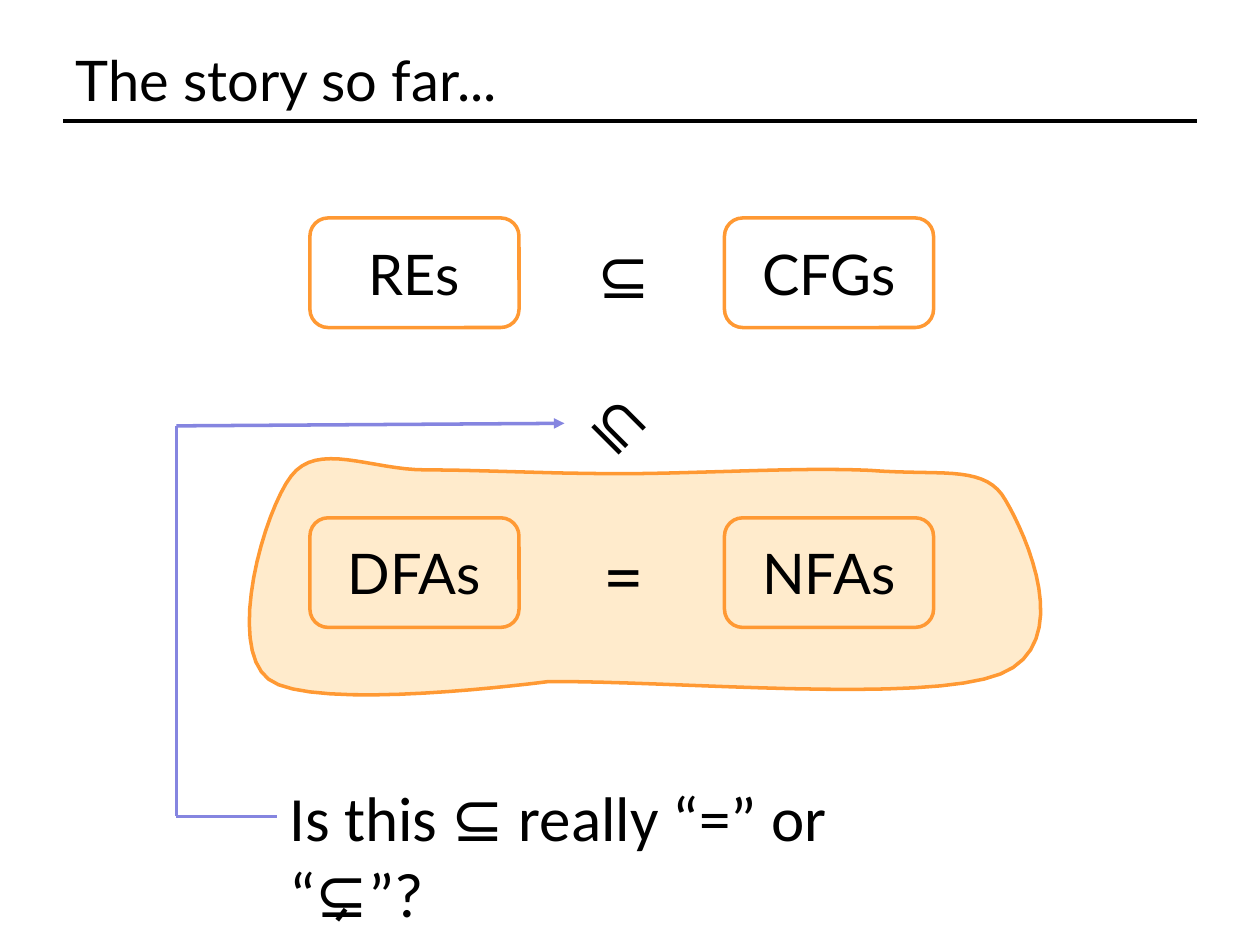
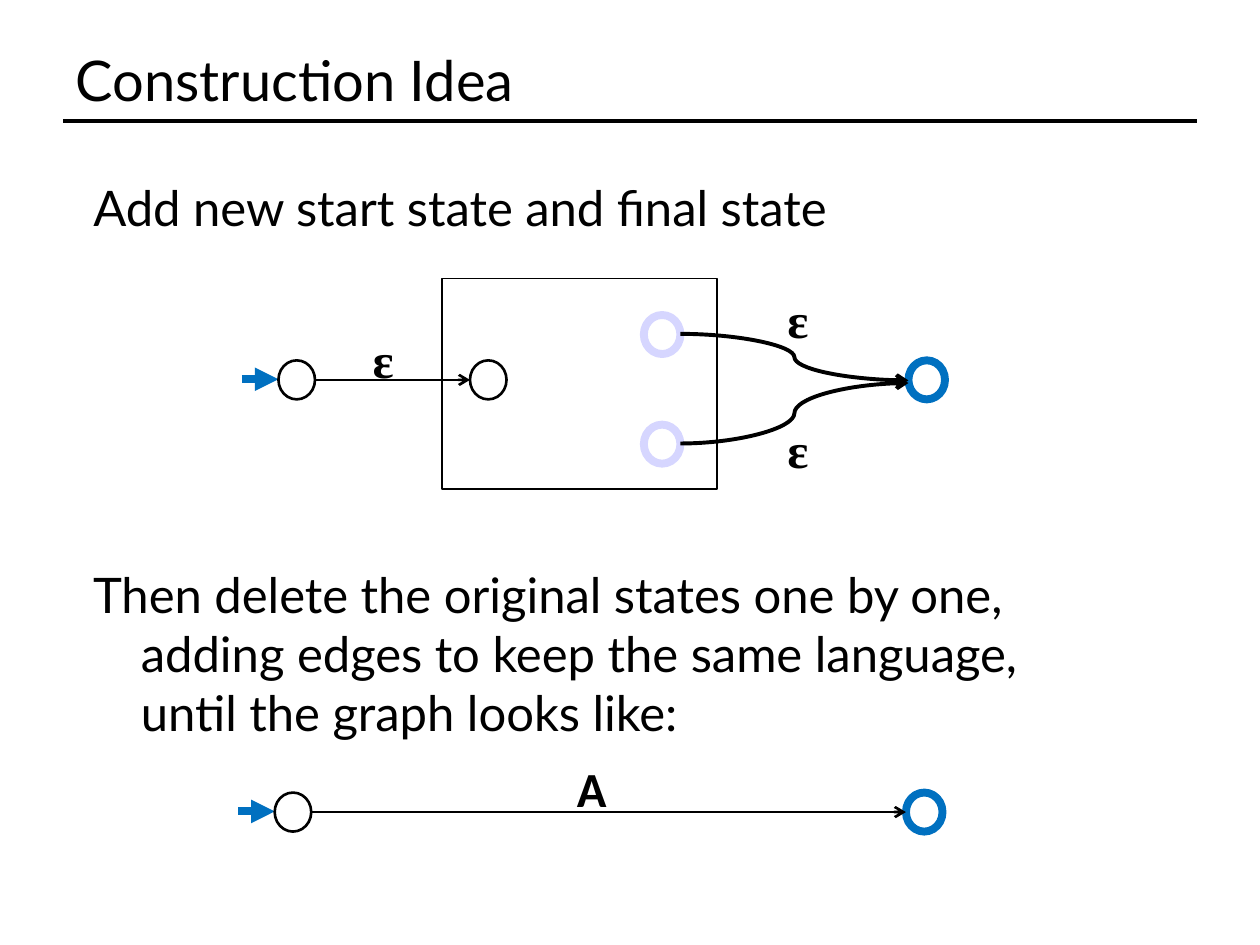
from dataclasses import dataclass

from lxml.etree import SubElement
from pptx import Presentation
from pptx.dml.color import RGBColor as Rgb
from pptx.enum.shapes import MSO_CONNECTOR as Link, MSO_SHAPE as Kind
from pptx.enum.text import MSO_ANCHOR as Anchor, MSO_AUTO_SIZE as Fit, PP_ALIGN as Align
from pptx.oxml.ns import qn
from pptx.util import Inches, Pt


@dataclass(frozen=True)
class Theme:
    ink: str = "000000"
    orange: str = "FF9933"
    cream: str = "FFEBCC"
    violet: str = "8585E0"
    pale: str = "D6D6FF"
    blue: str = "0070C0"
    main: str = "Lato"
    math: str = "Calibri"
    greek: str = "Times New Roman"
    title: int = 32
    body: int = 28
    sign: int = 36
    equal: int = 40


T = Theme()
STATE = (0.29, 0.31)
# Outline of the cloud, as offsets from its corner: a start, then cubic curves
START = (1.4, 0.09)
CURVES = [
    ((0.96, 0.09), (0.54, -0.14), (0.33, 0.14)),
    ((0.12, 0.41), (-0.19, 1.48), (0.15, 1.75)),
    ((0.49, 2.02), (2.37, 1.77), (2.37, 1.77)),
    ((3.34, 1.76), (5.35, 1.95), (5.96, 1.71)),
    ((6.56, 1.47), (6.16, 0.6), (6, 0.33)),
    ((5.85, 0.06), (5.53, 0.13), (5.02, 0.1)),
    ((4.51, 0.06), (3.58, 0.12), (2.96, 0.12)),
    ((2.35, 0.12), (1.83, 0.09), (1.4, 0.09)),
]


def inches(*sizes):
    return [Inches(size) for size in sizes]


def style(para, size, font=T.main, bold=False):
    for run in para.runs:
        run.font.size, run.font.name, run.font.bold = Pt(size), font, bold
        run.font.color.rgb = Rgb.from_string(T.ink)


def hang(para):
    """Hanging indent without a bullet."""
    props = para._p.get_or_add_pPr()
    props.set("marL", str(Inches(0.38)))
    props.set("indent", str(Inches(-0.38)))
    SubElement(props, qn("a:buNone"))
    para.alignment = Align.LEFT
    para.space_before = Pt(0)


def label(slide, text, box, size, font=T.main, bold=False, turn=0):
    shape = slide.shapes.add_textbox(*inches(*box))
    shape.rotation = turn
    frame = shape.text_frame
    frame.word_wrap = True
    frame.text = text
    style(frame.paragraphs[0], size, font, bold)
    return frame.paragraphs[0]


def stroke(item, color, width):
    item.line.color.rgb = Rgb.from_string(color)
    item.line.width = Pt(width)


def outline(slide, kind, box, color, width):
    shape = slide.shapes.add_shape(kind, *inches(*box))
    shape.shadow.inherit = False
    shape.fill.background()
    stroke(shape, color, width)
    return shape


def link(slide, start, end, color, width, head=None, kind=Link.STRAIGHT):
    line = slide.shapes.add_connector(kind, *inches(*start, *end))
    stroke(line, color, width)
    if head:
        SubElement(line.line._get_or_add_ln(), qn("a:tailEnd"), type=head)
    SubElement(line._element.spPr, qn("a:effectLst"))


def page(deck, layout, title):
    """Add a slide with the shared title and the rule below it."""
    slide = deck.slides.add_slide(deck.slide_layouts[layout])
    link(slide, (0.5, 0.96), (9.5, 0.96), T.ink, 2)
    head = slide.shapes.title
    head.left, head.top, head.width, head.height = inches(0.5, 0.3, 9, 0.66)
    frame = head.text_frame
    frame.text = title
    frame.auto_size = Fit.NONE
    frame.vertical_anchor = Anchor.MIDDLE
    frame.paragraphs[0].alignment = Align.LEFT
    style(frame.paragraphs[0], T.title)
    return slide


def cloud(slide, x, y, steps=16):
    points, last = [], START
    for one, two, end in CURVES:
        for step in range(1, steps + 1):
            t = step / steps
            u = 1 - t
            points.append(tuple(
                Inches(base + u**3 * a + 3 * u * u * t * b + 3 * u * t * t * c + t**3 * d)
                for base, a, b, c, d in zip((x, y), last, one, two, end)))
        last = end
    pen = slide.shapes.build_freeform(*inches(x + START[0], y + START[1]))
    pen.add_line_segments(points, close=True)
    shape = pen.convert_to_shape()
    shape.shadow.inherit = False
    shape.fill.solid()
    shape.fill.fore_color.rgb = Rgb.from_string(T.cream)
    stroke(shape, T.orange, 2)


def classes(slide, x, y):
    """Grid of the four language classes and the signs between them."""
    for row, names in enumerate((("REs", "CFGs"), ("DFAs", "NFAs"))):
        for col, name in enumerate(names):
            box = (x + 3.29 * col, y + 2.38 * row, 1.66, 0.87)
            shape = outline(slide, Kind.ROUNDED_RECTANGLE, box, T.orange, 2)
            frame = shape.text_frame
            frame.text = name
            frame.vertical_anchor = Anchor.MIDDLE
            frame.paragraphs[0].alignment = Align.CENTER
            style(frame.paragraphs[0], T.title)
    for down, turn in ((0.09, 0), (1.27, 45)):
        label(slide, "⊆", (x + 2.18, y + down, 0.58, 0.71), T.sign, T.math, turn=turn)
    label(slide, "=", (x + 2.23, y + 2.45, 0.53, 0.77), T.equal)


def question(slide, x, y):
    """Question with a bent arrow that leads up to the sign."""
    label(slide, "Is this ⊆ really “=” or “⊊”?", (x + 0.8, y + 2.75, 5.61, 0.71),
          T.sign, T.math)
    low = y + 3.1
    link(slide, (x, y), (x + 3.08, y - 0.02), T.violet, 2, "triangle")
    link(slide, (x, y), (x, low), T.violet, 2)
    link(slide, (x, low), (x + 0.8, low), T.violet, 2)


def state(slide, x, y, color=T.ink, width=1.5):
    outline(slide, Kind.OVAL, (x, y, *STATE), color, width)


def ends(slide, x, y, span):
    """Marked start state and, one span to the right, the final state."""
    link(slide, (x - 0.29, y + 0.15), (x, y + 0.15), T.blue, 4.5, "triangle")
    state(slide, x, y)
    state(slide, x + span, y, T.blue, 4.5)


def edge(slide, x, y, span):
    mid = y + STATE[1] / 2
    link(slide, (x + STATE[0], mid), (x + span, mid), T.ink, 1.5, "arrow")


def machine(slide, x, y):
    """Automaton wrapped by a new start state and a new final state."""
    outline(slide, Kind.RECTANGLE, (x + 1.3, y - 0.65, 2.18, 1.67), T.ink, 1)
    ends(slide, x, y, 5)
    state(slide, x + 1.52, y)
    edge(slide, x, y, 1.52)
    for down, goal in ((-0.36, 0.16), (0.51, 0.18)):
        state(slide, x + 2.9, y + down, T.pale, 4.5)
        link(slide, (x + 3.19, y + down + 0.15), (x + 5, y + goal), T.ink, 2.25,
             "arrow", Link.CURVE)
    for right, down in ((0.65, -0.29), (3.94, -0.61), (3.94, 0.42)):
        label(slide, "ɛ", (x + right, y + down, 0.38, 0.57), T.body, T.greek, True)


def result(slide, x, y):
    """Two states that are left, joined by a single edge."""
    ends(slide, x, y, 5.01)
    edge(slide, x, y, 5.01)
    label(slide, "A", (x + 2.3, y - 0.32, 0.44, 0.57), T.body, T.math, True)


def story(deck):
    slide = page(deck, 5, "The story so far...")
    cloud(slide, 1.98, 3.64)
    classes(slide, 2.46, 1.73)
    question(slide, 1.4, 3.38)


def idea(deck):
    slide = page(deck, 1, "Construction Idea")
    body = slide.placeholders[1]
    body.left, body.top, body.width, body.height = inches(0.64, 1.36, 9, 5.62)
    frame = body.text_frame
    frame.text = "Add new start state and final state"
    frame.auto_size = Fit.NONE
    hang(frame.paragraphs[0])
    style(frame.paragraphs[0], T.body)
    machine(slide, 2.21, 2.86)
    result(slide, 2.18, 6.29)
    para = label(slide, "", (0.64, 4.43, 7.67, 2.59), T.body)
    para.text = ("Then delete the original states one by one, "
                 "adding edges to keep the same language,\vuntil the graph looks like:")
    hang(para)
    style(para, T.body)


def main():
    deck = Presentation()
    deck.slide_width, deck.slide_height = inches(10, 7.5)
    story(deck)
    idea(deck)
    deck.save("out.pptx")


if __name__ == "__main__":
    main()
